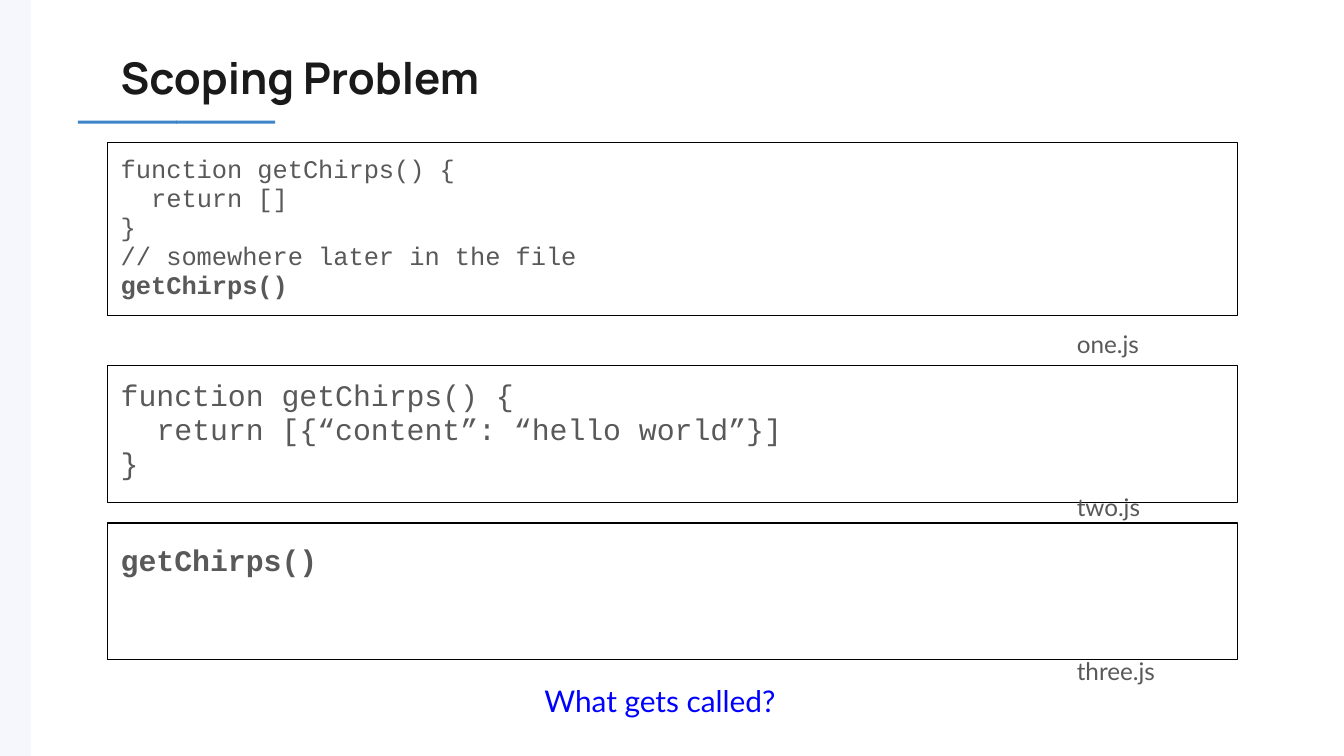
import pptx
import pptx.dml.color
import pptx.enum.shapes
import pptx.enum.text
import pptx.util

Pt = pptx.util.Pt

SLIDE_WIDTH, SLIDE_HEIGHT = 720, 405
MARGIN_LEFT, CONTENT_WIDTH = 57.6, 605.5
LABEL_LEFT, LABEL_WIDTH, LABEL_HEIGHT = 569.8, 99.4, 23.8
INSET = 7.2
INDENT_CHARS, CHAR_WIDTH = 2, 0.6
INK, GREY, BLUE = "1A1A1A", "595959", "0000FF"
SIDEBAR_FILL, ACCENT = "F5F7FC", "3D85C6"
ACCENT_LEFT, ACCENT_TOP, ACCENT_HEIGHT = 41.8, 64.7, 1.6
ACCENT_PIECE, ACCENT_STEP = 53, 52.6

TITLE = "Scoping Problem"
QUESTION = "What gets called?"
CALL = ("getChirps()", 0, True)
OPENING = ("function getChirps() {", 0, False)
CLOSING = ("}", 0, False)

FILES = [
    dict(name="one.js", top=76.2, height=92.9, label_top=169.2, size=13.6, spacing=0.95,
         code=[OPENING, ("return []", 1, False), CLOSING,
               ("// somewhere later in the file", 0, False), CALL]),
    dict(name="two.js", top=195.9, height=73.4, label_top=256.4, size=16, spacing=0.95,
         code=[OPENING, ("return [{“content”: “hello world”}]", 1, False), CLOSING]),
    dict(name="three.js", top=280.1, height=73.4, label_top=344.4, size=16, spacing=1.15,
         code=[CALL]),
]


def color(value):
    return pptx.dml.color.RGBColor.from_string(value)


def add_rect(slide, left, top, width, height, fill=None, line=None):
    rect = slide.shapes.add_shape(pptx.enum.shapes.MSO_SHAPE.RECTANGLE,
                                  Pt(left), Pt(top), Pt(width), Pt(height))
    rect.shadow.inherit = False
    if fill:
        rect.fill.solid()
        rect.fill.fore_color.rgb = color(fill)
    else:
        rect.fill.background()
    if line:
        rect.line.color.rgb = color(line)
        rect.line.width = Pt(0.75)
    else:
        rect.line.fill.background()
    return rect


def add_box(slide, left, top, width, height):
    return slide.shapes.add_textbox(Pt(left), Pt(top), Pt(width), Pt(height))


def write(holder, lines, size, font="Lato", ink=GREY, spacing=1.0):
    frame = holder.text_frame
    frame.word_wrap = True
    frame.vertical_anchor = pptx.enum.text.MSO_ANCHOR.TOP
    frame.margin_left = frame.margin_right = Pt(INSET)
    frame.margin_top = frame.margin_bottom = Pt(INSET)
    for index, (text, level, bold) in enumerate(lines):
        paragraph = frame.paragraphs[0] if index == 0 else frame.add_paragraph()
        paragraph.alignment = pptx.enum.text.PP_ALIGN.LEFT
        paragraph.line_spacing = spacing
        if level:
            indent = Pt(level * INDENT_CHARS * CHAR_WIDTH * size)
            paragraph._p.get_or_add_pPr().set("marL", str(indent))
        run = paragraph.add_run()
        run.text = text
        run.font.name = font
        run.font.size = Pt(size)
        run.font.bold = bold
        run.font.color.rgb = color(ink)


def main():
    deck = pptx.Presentation()
    deck.slide_width, deck.slide_height = Pt(SLIDE_WIDTH), Pt(SLIDE_HEIGHT)
    slide = deck.slides.add_slide(deck.slide_layouts[6])

    add_rect(slide, 0, 0, 16.4, SLIDE_HEIGHT, fill=SIDEBAR_FILL)
    for piece in range(2):
        add_rect(slide, ACCENT_LEFT + piece * ACCENT_STEP, ACCENT_TOP,
                 ACCENT_PIECE, ACCENT_HEIGHT, fill=ACCENT)

    title = add_box(slide, MARGIN_LEFT, 20.2, CONTENT_WIDTH, 42.5)
    write(title, [(TITLE, 0, True)], 23.4, font="Manrope", ink=INK)

    for file in FILES:
        panel = add_rect(slide, MARGIN_LEFT, file["top"], CONTENT_WIDTH,
                         file["height"], line="000000")
        write(panel, file["code"], file["size"], font="Courier New",
              spacing=file["spacing"])
        label = add_box(slide, LABEL_LEFT, file["label_top"], LABEL_WIDTH, LABEL_HEIGHT)
        write(label, [(file["name"], 0, False)], 13)

    question = add_box(slide, 284.6, 358.6, 151.2, 35.3)
    write(question, [(QUESTION, 0, False)], 16, ink=BLUE)

    deck.save("out.pptx")


if __name__ == "__main__":
    main()
